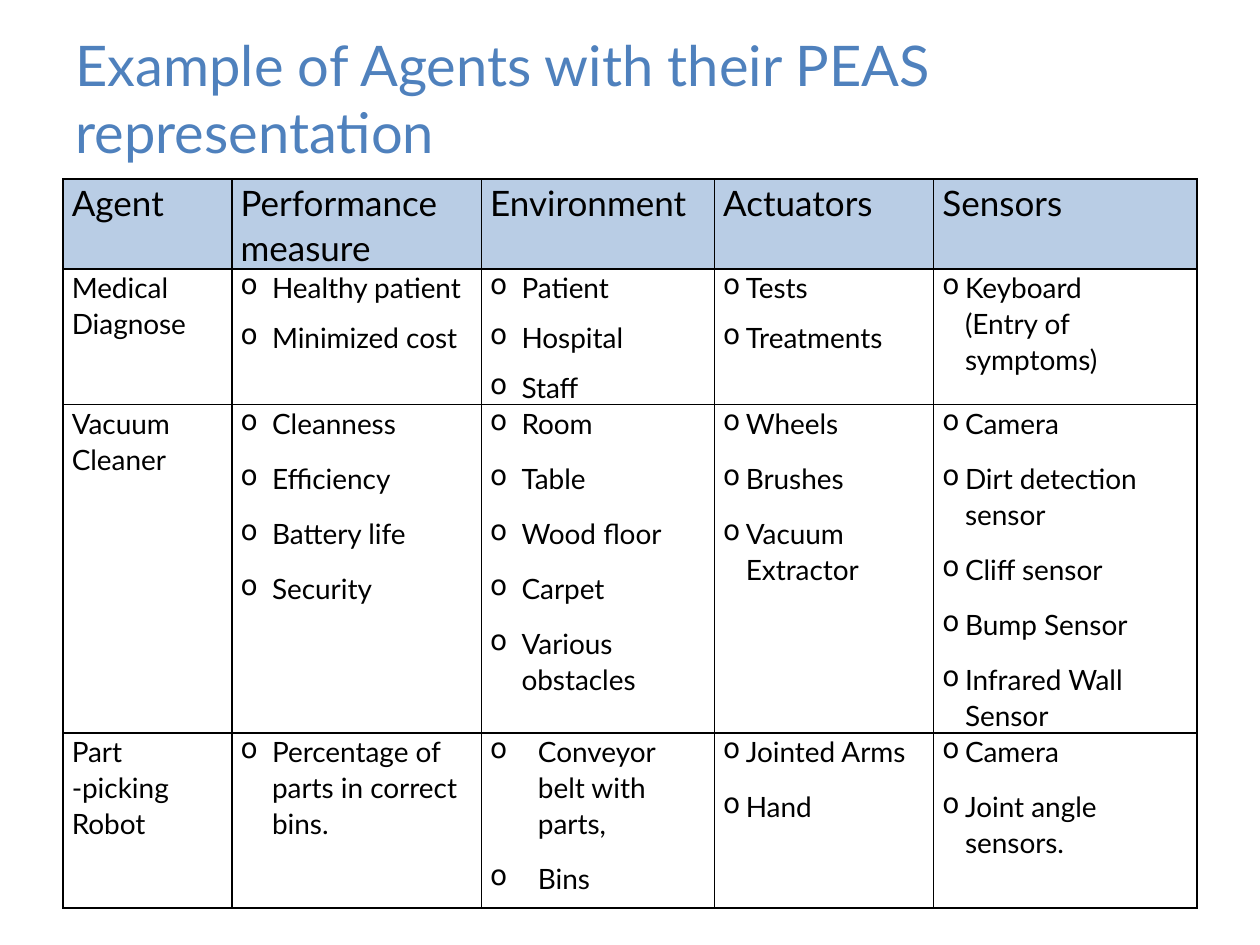
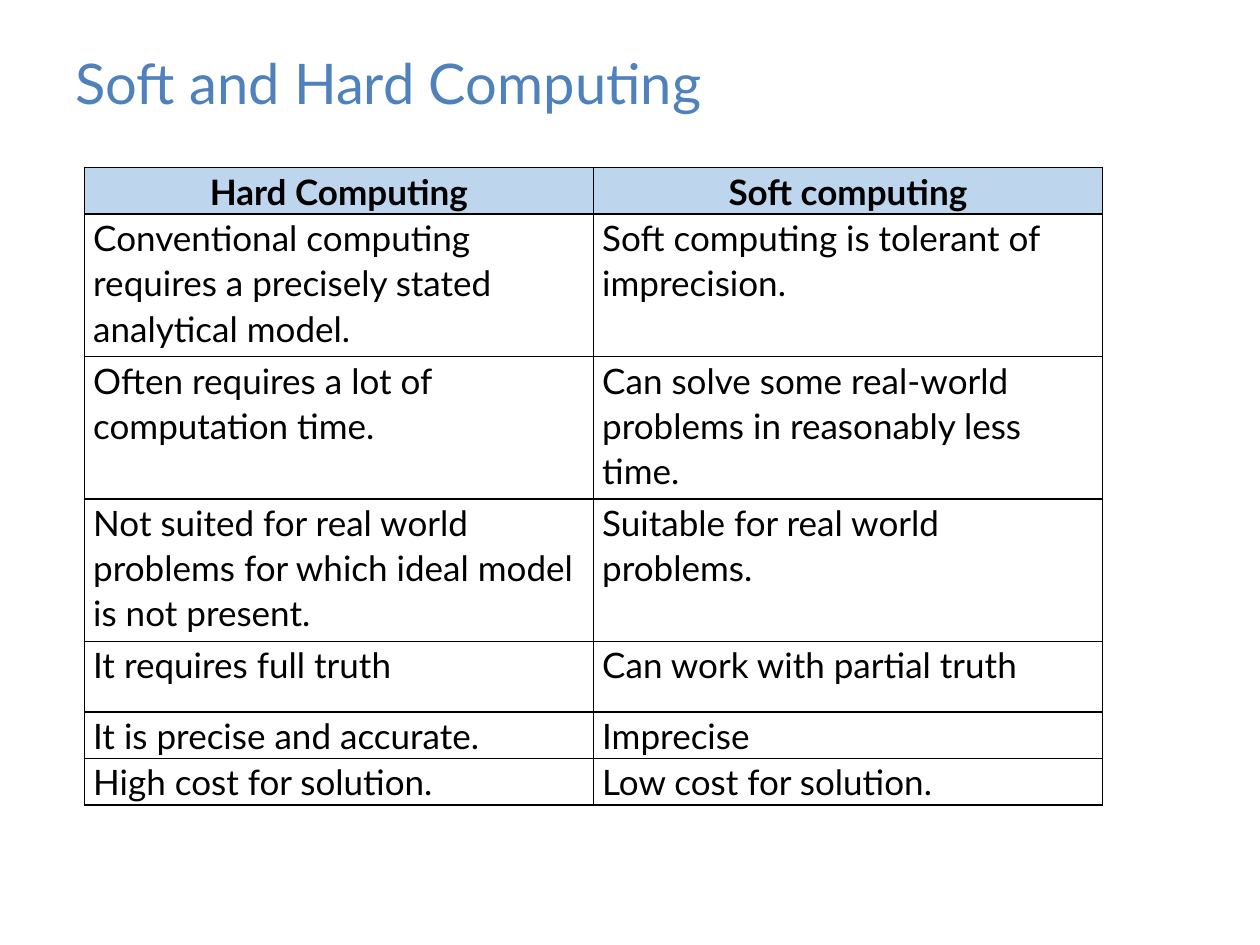
from lxml import etree
from pptx import Presentation
from pptx.dml.color import RGBColor
from pptx.enum.text import MSO_ANCHOR, PP_ALIGN
from pptx.oxml.ns import qn
from pptx.util import Inches, Pt

MIDDLE = MSO_ANCHOR.MIDDLE
CENTER = PP_ALIGN.CENTER
FONT = "Lato"
COLORS = {"title": "4F81BD", "text": "000000", "border": "000000",
          "peas_header": "B9CDE5", "computing_header": "BDD6EE"}

PEAS_HEADINGS = ["Agent", "Performance measure", "Environment", "Actuators", "Sensors"]
PEAS_AGENTS = [
    ("Medical Diagnose", ["Healthy patient", "Minimized cost"],
     ["Patient", "Hospital", "Staff"], ["Tests", "Treatments"],
     ["Keyboard\v(Entry of symptoms)"]),
    ("Vacuum Cleaner", ["Cleanness", "Efficiency", "Battery life", "Security"],
     ["Room", "Table", "Wood floor", "Carpet", "Various obstacles"],
     ["Wheels", "Brushes", "Vacuum Extractor"],
     ["Camera", "Dirt detection sensor", "Cliff sensor", "Bump Sensor",
      "Infrared Wall Sensor"]),
    ("Part -picking Robot", ["Percentage of parts in correct bins."],
     ["Conveyor belt with parts,", "Bins"], ["Jointed Arms", "Hand"],
     ["Camera", "Joint angle sensors."]),
]
COMPUTING_HEADINGS = ["Hard Computing", "Soft computing"]
COMPUTING_CONTRASTS = [
    ("Conventional computing requires a precisely stated analytical model.",
     "Soft computing is tolerant of imprecision."),
    ("Often requires a lot of computation time.",
     "Can solve some real-world problems in reasonably less time."),
    ("Not suited for real world problems for which ideal model is not present.",
     "Suitable for real world problems."),
    ("It requires full truth", "Can work with partial truth"),
    ("It is precise and accurate.", "Imprecise"),
    ("High cost for solution.", "Low cost for solution."),
]


def style_runs(paragraph, size, color, bold=False):
    """Give every run and line break of a paragraph its look."""
    for run in paragraph.runs:
        run.font.name = FONT
        run.font.size = Pt(size)
        run.font.bold = bold
        run.font.color.rgb = RGBColor.from_string(COLORS[color])
    for line_break in paragraph._p.findall(qn("a:br")):
        etree.SubElement(line_break, qn("a:rPr"), sz=str(size * 100))


def add_title(slide, title, height):
    """Place the slide title in a band of the given height."""
    box = slide.shapes.add_textbox(Inches(0.5), Inches(0.3), Inches(9), Inches(height))
    frame = box.text_frame
    frame.word_wrap = True
    frame.vertical_anchor = MIDDLE
    frame.text = title
    style_runs(frame.paragraphs[0], 32, "title")


def add_bullet(paragraph, indent):
    """Turn a paragraph into an item with a hanging round bullet."""
    properties = paragraph._p.get_or_add_pPr()
    properties.set("marL", str(Inches(indent)))
    properties.set("indent", str(-Inches(indent)))
    etree.SubElement(properties, qn("a:buChar"), char="o")


def add_borders(cell):
    """Draw a thin line on all four sides of a cell."""
    properties = cell._tc.get_or_add_tcPr()
    for side in ("lnL", "lnR", "lnT", "lnB"):
        line = etree.SubElement(properties, qn(f"a:{side}"), w=str(Pt(1)))
        fill = etree.SubElement(line, qn("a:solidFill"))
        etree.SubElement(fill, qn("a:srgbClr"), val=COLORS["border"])


def add_grid(slide, left, top, widths, heights):
    """Add a plain bordered table with the given columns and rows."""
    table = slide.shapes.add_table(
        len(heights), len(widths), Inches(left), Inches(top),
        Inches(sum(widths)), Inches(sum(heights))).table
    table.first_row = table.horz_banding = False
    for column, width in zip(table.columns, widths):
        column.width = Inches(width)
    for row, height in zip(table.rows, heights):
        row.height = Inches(height)
    for cell in table.iter_cells():
        cell.margin_left = cell.margin_right = Inches(0.07)
        cell.margin_top = cell.margin_bottom = 0
        add_borders(cell)
        cell.fill.background()
    return table


def fill_cell(cell, lines, size, after=0, before=0, indent=None, bold=False):
    """Write lines into a cell, as bullets when an indent is given."""
    frame = cell.text_frame
    frame.text = lines[0]
    for line in lines[1:]:
        frame.add_paragraph().text = line
    for index, paragraph in enumerate(frame.paragraphs):
        paragraph.line_spacing = 1.07
        paragraph.space_before = Pt(before if index else 0)
        paragraph.space_after = Pt(after)
        if indent:
            add_bullet(paragraph, indent)
        style_runs(paragraph, size, "text", bold)


def shade(cell, color):
    """Fill a heading cell."""
    cell.fill.solid()
    cell.fill.fore_color.rgb = RGBColor.from_string(COLORS[color])


def add_peas_table(slide, left, top):
    """Place the table of agents and their PEAS parts."""
    table = add_grid(slide, left, top, [1.34, 1.98, 1.85, 1.74, 2.09],
                     [0.71, 1.07, 2.59, 1.39])
    for column, heading in enumerate(PEAS_HEADINGS):
        cell = table.cell(0, column)
        fill_cell(cell, [heading], 20)
        shade(cell, "peas_header")
    for row, (agent, *parts) in enumerate(PEAS_AGENTS, 1):
        fill_cell(table.cell(row, 0), [agent], 16)
        environment_indent = 0.38 if row == len(PEAS_AGENTS) else 0.25
        indents = [0.25, environment_indent, 0.18, 0.18]
        for column, (items, indent) in enumerate(zip(parts, indents), 1):
            fill_cell(table.cell(row, column), items, 16, after=8,
                      before=0 if row == 1 else 3, indent=indent)


def add_computing_table(slide, left, top):
    """Place the comparison of hard and soft computing."""
    table = add_grid(slide, left, top, [4.04] * 2,
                     [0.37] + [1.13] * 3 + [0.56] + [0.37] * 2)
    for column, heading in enumerate(COMPUTING_HEADINGS):
        cell = table.cell(0, column)
        fill_cell(cell, [heading], 20, after=8, bold=True)
        cell.text_frame.paragraphs[0].alignment = CENTER
        shade(cell, "computing_header")
    for row, contrast in enumerate(COMPUTING_CONTRASTS, 1):
        for column, statement in enumerate(contrast):
            fill_cell(table.cell(row, column), [statement], 20, after=8)


def main():
    """Build both slides and save the deck."""
    deck = Presentation()
    deck.slide_width, deck.slide_height = Inches(10), Inches(7.5)
    blank = deck.slide_layouts[6]

    peas = deck.slides.add_slide(blank)
    add_title(peas, "Example of Agents with their PEAS representation", 0.95)
    add_peas_table(peas, 0.5, 1.42)

    computing = deck.slides.add_slide(blank)
    add_title(computing, "Soft and Hard Computing", 0.7)
    add_computing_table(computing, 0.67, 1.33)

    deck.save("out.pptx")


if __name__ == "__main__":
    main()
